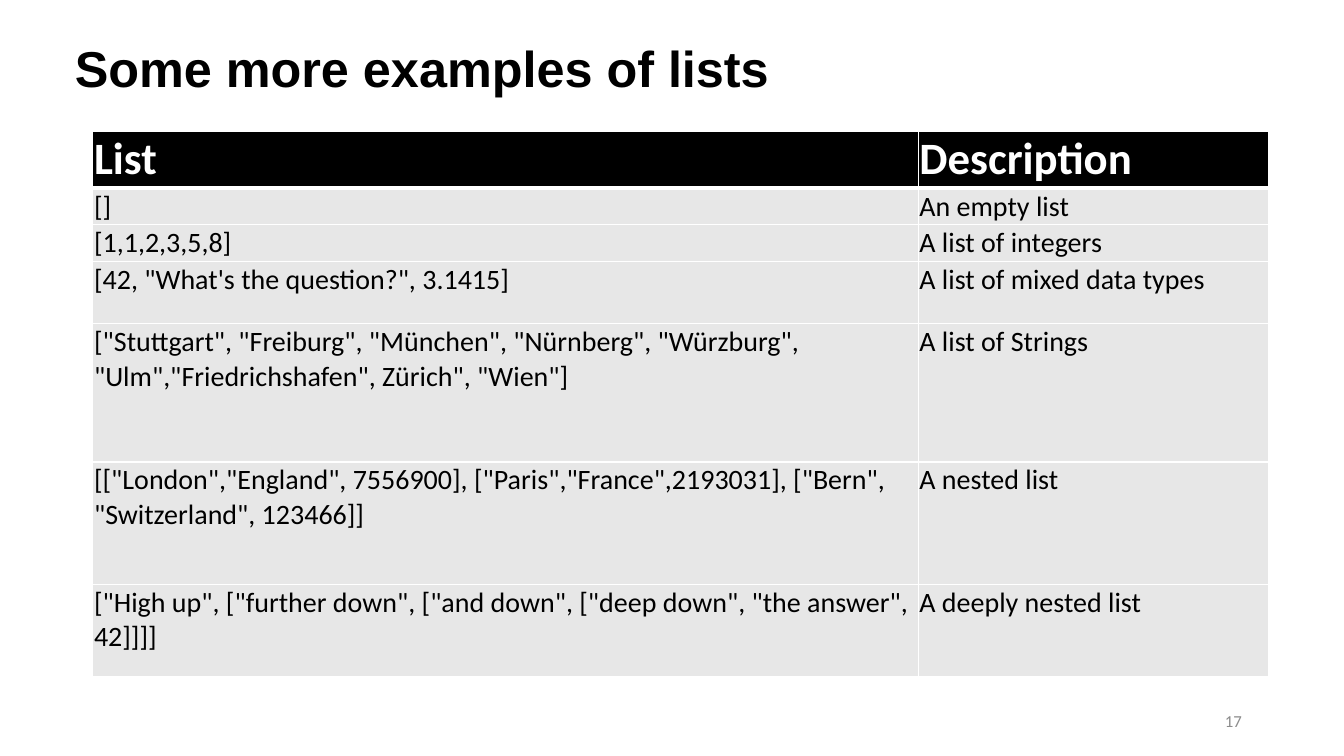
"""Build a slide with a table of Python list examples."""
from lxml.etree import SubElement
from pptx import Presentation
from pptx.dml.color import RGBColor
from pptx.enum.text import MSO_ANCHOR, PP_ALIGN
from pptx.oxml.ns import qn
from pptx.util import Cm, Pt

WHITE, BLACK, PALE, GREY = "FFFFFF", "000000", "E7E7E7", "8C8C8C"
TITLE = {"name": "Arial", "size": Pt(36), "bold": True}
HEADER = {"name": "Calibri", "size": Pt(32), "bold": True}
BODY = {"name": "Calibri", "size": Pt(20), "bold": False}
NUMBER = {"name": "Calibri", "size": Pt(12), "bold": False}


def write(frame, text, font, color, align=PP_ALIGN.LEFT):
    """Fill the first paragraph of a text frame with one formatted span."""
    para = frame.paragraphs[0]
    para.alignment = align
    span = para.add_run()
    span.text = text
    for key, value in font.items():
        setattr(span.font, key, value)
    span.font.color.rgb = RGBColor.from_string(color)
    return para


def set_borders(cell, widths):
    """Draw white borders, given in points by side."""
    properties = cell._tc.get_or_add_tcPr()
    for place, (side, width) in enumerate(widths.items()):
        line = SubElement(properties, qn(f"a:ln{side}"), w=str(Pt(width)))
        fill = SubElement(line, qn("a:solidFill"))
        SubElement(fill, qn("a:srgbClr"), val=WHITE)
        properties.insert(place, line)


deck = Presentation()
deck.slide_width, deck.slide_height = Cm(33.87), Cm(19.05)
page = deck.slides.add_slide(deck.slide_layouts[5])

title = page.shapes.title
title.left, title.top, title.width, title.height = Cm(1.63), Cm(0.33), Cm(29.21), Cm(2.95)
title.text_frame.vertical_anchor = MSO_ANCHOR.MIDDLE
write(title.text_frame, "Some more examples of lists", TITLE, BLACK).line_spacing = 0.9

examples = [
    (1.4, "List", "Description"),
    (0.91, "[]", "An empty list"),
    (0.91, "[1,1,2,3,5,8]", "A list of integers"),
    (1.57, '[42, "What\'s the question?", 3.1415]', "A list of mixed data types"),
    (3.48, '["Stuttgart", "Freiburg", "München", "Nürnberg", "Würzburg", '
           '"Ulm","Friedrichshafen", Zürich", "Wien"]', "A list of Strings"),
    (3.08, '[["London","England", 7556900], ["Paris","France",2193031], '
           '["Bern", "Switzerland", 123466]]', "A nested list"),
    (2.33, '["High up", ["further down", ["and down", ["deep down", '
           '"the answer", 42]]]]', "A deeply nested list"),
]
height = sum(example[0] for example in examples)
table = page.shapes.add_table(
    len(examples), 2, Cm(2.34), Cm(3.3), Cm(29.64), Cm(height)).table
for column, width in zip(table.columns, (20.8, 8.84)):
    column.width = Cm(width)

margins = ("margin_left", "margin_top", "margin_right", "margin_bottom")
for row, (row_height, *texts) in enumerate(examples):
    table.rows[row].height = Cm(row_height)
    font, color, fill = (BODY, BLACK, PALE) if row else (HEADER, WHITE, BLACK)
    for column, text in enumerate(texts):
        cell = table.cell(row, column)
        for margin in margins:
            setattr(cell, margin, Cm(0.03))
        cell.fill.solid()
        cell.fill.fore_color.rgb = RGBColor.from_string(fill)
        set_borders(cell, {"L": 1, "R": 1, "T": 3 if row == 1 else 1, "B": 1 if row else 3})
        write(cell.text_frame, text, font, color)

box = page.shapes.add_textbox(Cm(23.93), Cm(17.65), Cm(7.62), Cm(1.02))
box.text_frame.word_wrap = True
box.text_frame.vertical_anchor = MSO_ANCHOR.MIDDLE
write(box.text_frame, "17", NUMBER, GREY, PP_ALIGN.RIGHT)

deck.save("out.pptx")
